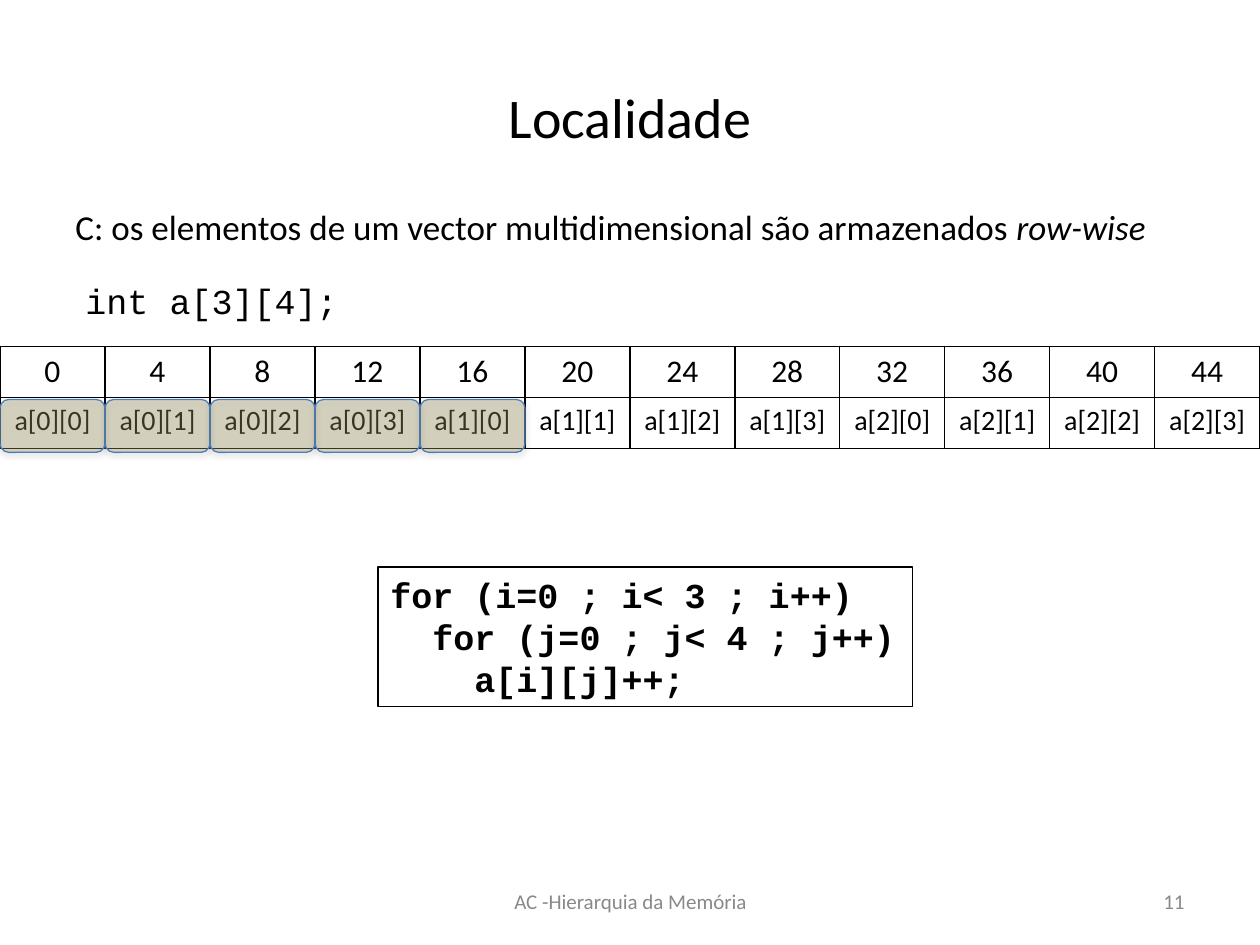
from lxml.etree import SubElement
from pptx import Presentation
from pptx.dml.color import RGBColor
from pptx.enum.shapes import MSO_SHAPE
from pptx.enum.text import MSO_ANCHOR, MSO_AUTO_SIZE, PP_ALIGN
from pptx.oxml import parse_xml
from pptx.oxml.ns import nsdecls, qn
from pptx.util import Inches, Pt

BLACK = RGBColor(0x00, 0x00, 0x00)
GRAY = RGBColor(0x89, 0x89, 0x89)
OLIVE = RGBColor(0x94, 0x8A, 0x54)
BLUE = RGBColor(0x4A, 0x7E, 0xBB)
SANS, MONO = "Calibri", "Courier New"

TITLE = "Localidade"
STATEMENT = [
    ("C: os elementos de um vector multidimensional são armazenados ", False),
    ("row-wise", True),
]
DECLARATION = "int a[3][4];"
LOOP = ["for (i=0 ; i< 3 ; i++)", "  for (j=0 ; j< 4 ; j++)", "    a[i][j]++;"]
FOOTER = "AC -Hierarquia da Memória"
PAGE = "11"

ROWS, COLUMNS, INT_BYTES = 3, 4, 4
ELEMENTS = [f"a[{i}][{j}]" for i in range(ROWS) for j in range(COLUMNS)]
ADDRESSES = [str(INT_BYTES * n) for n in range(len(ELEMENTS))]
CACHED = 5
SLIDE_WIDTH = 10
CELL_WIDTH = SLIDE_WIDTH / len(ELEMENTS)
CELL_HEIGHT = 0.405
TABLE_TOP = 2.75


def add_run(paragraph, text, size, font=SANS, color=BLACK, bold=False, italic=False):
    run = paragraph.add_run()
    run.text = text
    run.font.size = Pt(size)
    run.font.name = font
    run.font.color.rgb = color
    run.font.bold = bold
    run.font.italic = italic


def add_text(slide, box, size, runs, align=PP_ALIGN.LEFT, anchor=MSO_ANCHOR.TOP,
             wrap=True, **style):
    frame = slide.shapes.add_textbox(*map(Inches, box)).text_frame
    frame.word_wrap = wrap
    frame.auto_size = MSO_AUTO_SIZE.NONE if wrap else MSO_AUTO_SIZE.SHAPE_TO_FIT_TEXT
    frame.vertical_anchor = anchor
    paragraph = frame.paragraphs[0]
    paragraph.alignment = align
    for text, italic in runs:
        add_run(paragraph, text, size, italic=italic, **style)


def add_borders(cell):
    properties = cell._tc.get_or_add_tcPr()
    for side in ("lnL", "lnR", "lnT", "lnB"):
        border = SubElement(properties, qn(f"a:{side}"), w=str(Pt(1)))
        fill = SubElement(border, qn("a:solidFill"))
        SubElement(fill, qn("a:srgbClr"), val=str(BLACK))


def add_memory(slide):
    contents = [(ADDRESSES, 18), (ELEMENTS, 16)]
    table = slide.shapes.add_table(
        len(contents), len(ELEMENTS), 0, Inches(TABLE_TOP),
        Inches(SLIDE_WIDTH), Inches(CELL_HEIGHT * len(contents))).table
    table.first_row = False
    table.horz_banding = False
    for column in table.columns:
        column.width = Inches(CELL_WIDTH)
    for row, (labels, size) in zip(table.rows, contents):
        row.height = Inches(CELL_HEIGHT)
        for cell, label in zip(row.cells, labels):
            add_borders(cell)
            cell.fill.background()
            paragraph = cell.text_frame.paragraphs[0]
            paragraph.alignment = PP_ALIGN.CENTER
            add_run(paragraph, label, size)


def add_loop(slide):
    loop = slide.shapes.add_shape(
        MSO_SHAPE.RECTANGLE, Inches(3), Inches(4.5), Inches(4.24), Inches(1.11))
    loop.shadow.inherit = False
    loop.fill.background()
    loop.line.color.rgb = BLACK
    loop.line.width = Pt(0.75)
    frame = loop.text_frame
    frame.word_wrap = False
    frame.auto_size = MSO_AUTO_SIZE.SHAPE_TO_FIT_TEXT
    frame.vertical_anchor = MSO_ANCHOR.TOP
    for number, code in enumerate(LOOP):
        paragraph = frame.add_paragraph() if number else frame.paragraphs[0]
        paragraph.alignment = PP_ALIGN.LEFT
        add_run(paragraph, code, 20, MONO, bold=True)


def add_highlight(slide, index):
    highlight = slide.shapes.add_shape(
        MSO_SHAPE.ROUNDED_RECTANGLE, Inches(index * CELL_WIDTH), Inches(3.17),
        Inches(CELL_WIDTH), Inches(0.42))
    highlight.adjustments[0] = 0.167
    highlight.fill.solid()
    highlight.fill.fore_color.rgb = OLIVE
    color = highlight.fill._xPr.find(qn("a:solidFill"))[0]
    SubElement(color, qn("a:alpha"), val="32000")
    highlight.line.color.rgb = BLUE
    highlight.line.width = Pt(0.75)
    highlight._element.spPr.append(parse_xml(
        f'<a:effectLst {nsdecls("a")}>'
        f'<a:outerShdw blurRad="{Pt(3.1)}" dist="{Pt(1.8)}" dir="5400000" rotWithShape="0">'
        '<a:srgbClr val="808080"><a:alpha val="35000"/></a:srgbClr>'
        '</a:outerShdw></a:effectLst>'))


def main():
    presentation = Presentation()
    presentation.slide_width = Inches(SLIDE_WIDTH)
    presentation.slide_height = Inches(7.5)
    slide = presentation.slides.add_slide(presentation.slide_layouts[6])
    add_text(slide, (0.5, 0.3, 9, 1.25), 32, [(TITLE, False)],
             PP_ALIGN.CENTER, MSO_ANCHOR.MIDDLE)
    add_text(slide, (0.5, 1.58, 9, 0.58), 20, STATEMENT)
    add_text(slide, (3.42, 6.95, 3.17, 0.4), 12, [(FOOTER, False)],
             PP_ALIGN.CENTER, MSO_ANCHOR.MIDDLE, color=GRAY)
    add_text(slide, (7.17, 6.95, 2.33, 0.4), 12, [(PAGE, False)],
             PP_ALIGN.RIGHT, MSO_ANCHOR.MIDDLE, color=GRAY)
    add_text(slide, (0.58, 2.17, 2.22, 0.44), 20, [(DECLARATION, False)],
             wrap=False, font=MONO)
    add_memory(slide)
    add_loop(slide)
    for index in range(CACHED):
        add_highlight(slide, index)
    presentation.save("out.pptx")


if __name__ == "__main__":
    main()
